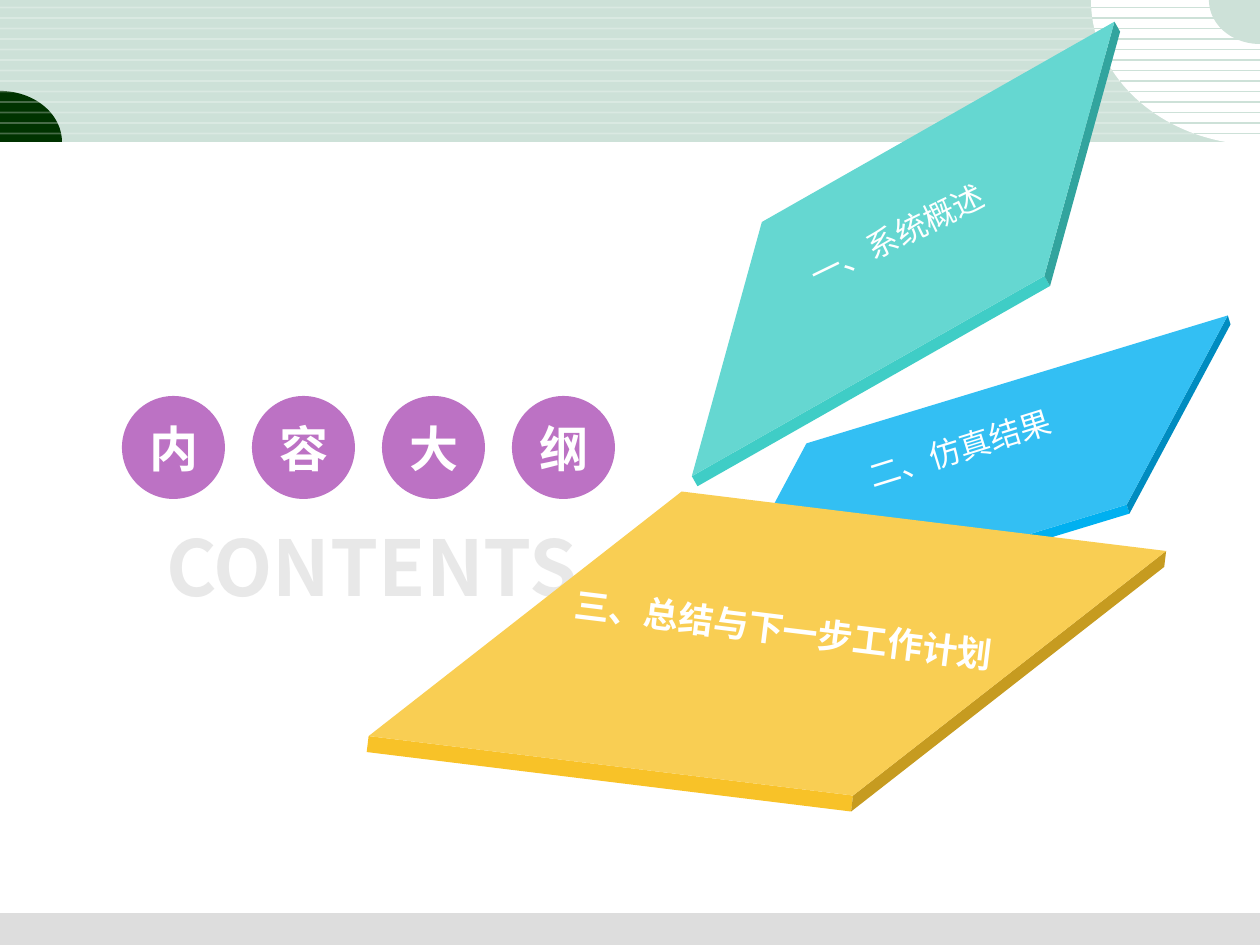
from math import cos, pi, sin, sqrt

from lxml import etree
from pptx import Presentation
from pptx.dml.color import RGBColor
from pptx.enum.shapes import MSO_CONNECTOR, MSO_SHAPE
from pptx.enum.text import MSO_ANCHOR, PP_ALIGN
from pptx.oxml.ns import qn
from pptx.util import Emu, Pt

RECT, OVAL, CUBE = MSO_SHAPE.RECTANGLE, MSO_SHAPE.OVAL, MSO_SHAPE.CUBE
STRAIGHT = MSO_CONNECTOR.STRAIGHT
MIDDLE, TOP = MSO_ANCHOR.MIDDLE, MSO_ANCHOR.TOP
CENTER = PP_ALIGN.CENTER

PX = 914400 / 126
W, H = 1260, 945
CJK = "Noto Sans CJK SC"
MINT, WHITE, DARK, GRAY = "CDE1D8", "FFFFFF", "003300", "DDDDDD"

HEADER_H = 142
STRIPE_TOP, STRIPE_GAP, STRIPES = 7.5, 10.5, 13
ARC_RX, ARC_RY = 169, 145

TITLE = "内容大纲"
CIRCLE = {"left": 122, "top": 396, "size": 103, "pitch": 130, "fill": "BC72C4"}
CIRCLE_FONT = {"size": Pt(28), "bold": True, "name": "Calibri"}
CONTENTS = ("CONTENTS", (120, 504, 504, 115), 0, "E8E8E8",
            {"size": Pt(44), "bold": True, "name": CJK})

LABEL_FONT = {"size": Pt(18), "bold": False, "name": CJK}
LAST_FONT = {"size": Pt(20), "bold": True, "name": CJK}
BACK_SLABS = [
    ((672, 398, 592, 161), 343.1, 0.942, "00B0F0"),
    ((610, 155, 592, 198), 330.4, 0.942, "3FCDC6"),
]
FRONT_SLAB = ((382, 503, 769, 297), 7, 0.946, "F8C228")
BACK_LABELS = [
    ("一、系统概述", (664, 210, 466, 51), 334.1, WHITE, LABEL_FONT),
    ("二、仿真结果", (727, 423, 466, 51), 342.7, WHITE, LABEL_FONT),
]
FRONT_LABEL = ("三、总结与下一步工作计划", (447, 602, 673, 55), 7, WHITE, LAST_FONT)


def emu(n):
    return Emu(round(n * PX))


def rgb(value):
    return RGBColor.from_string(value)


def paint(sp, fill):
    sp.shadow.inherit = False
    sp.fill.solid()
    sp.fill.fore_color.rgb = rgb(fill)
    sp.line.fill.background()
    return sp


def add_shape(s, kind, box, fill):
    return paint(s.shapes.add_shape(kind, *map(emu, box)), fill)


def add_quarter(s, cx, cy, rx, ry, fill, steps=40):
    angles = [pi / 2 * i / steps for i in range(steps + 1)]
    arc = [(emu(cx + rx * cos(a)), emu(cy + ry * sin(a))) for a in angles]
    builder = s.shapes.build_freeform(emu(cx), emu(cy))
    builder.add_line_segments(arc, close=True)
    paint(builder.convert_to_shape(), fill)


def add_stripe(s, x1, x2, y, color, width, alpha=None):
    line = s.shapes.add_connector(STRAIGHT, emu(x1), emu(y), emu(x2), emu(y))
    line.line.color.rgb = rgb(color)
    line.line.width = Pt(width)
    sp_pr = line._element.spPr
    etree.SubElement(sp_pr, qn("a:effectLst"))
    if alpha:
        clr = sp_pr.find(".//" + qn("a:srgbClr"))
        etree.SubElement(clr, qn("a:alpha"), val=str(alpha * 1000))


def write(sp, text, color, font, anchor=TOP, spacing=None):
    tf = sp.text_frame
    tf.word_wrap = True
    tf.vertical_anchor = anchor
    p = tf.paragraphs[0]
    p.alignment = CENTER
    p.line_spacing = spacing
    r = p.add_run()
    r.text = text
    for key, value in font.items():
        setattr(r.font, key, value)
    r.font.color.rgb = rgb(color)
    etree.SubElement(r.font._element, qn("a:ea"), typeface=CJK)


def add_label(s, text, box, rotation, color, font, spacing=None):
    sp = s.shapes.add_textbox(*map(emu, box))
    sp.rotation = rotation
    write(sp, text, color, font, spacing=spacing)


def add_slab(s, box, rotation, depth, fill):
    sp = add_shape(s, CUBE, box, fill)
    sp.rotation = rotation
    sp.adjustments[0] = depth


def add_backdrop(s):
    stripe_ys = [STRIPE_TOP + STRIPE_GAP * i for i in range(STRIPES)]
    add_shape(s, RECT, (0, 0, W, HEADER_H), MINT)
    add_quarter(s, 0, HEADER_H, 62, -51, DARK)
    for y in stripe_ys:
        add_stripe(s, 0, W, y, WHITE, 1, alpha=27)
    add_quarter(s, W, 0, -ARC_RX, ARC_RY, WHITE)
    for y in stripe_ys:
        add_stripe(s, W - ARC_RX * sqrt(1 - (y / ARC_RY) ** 2), W, y, MINT, 0.75)
    add_shape(s, RECT, (0, 913, W, H - 913), GRAY)
    add_quarter(s, W, 0, -51, 44, MINT)


def main():
    prs = Presentation()
    prs.slide_width, prs.slide_height = emu(W), emu(H)
    s = prs.slides.add_slide(prs.slide_layouts[6])
    add_backdrop(s)
    for slab in BACK_SLABS:
        add_slab(s, *slab)
    for i, char in enumerate(TITLE):
        left = CIRCLE["left"] + CIRCLE["pitch"] * i
        box = (left, CIRCLE["top"], CIRCLE["size"], CIRCLE["size"])
        write(add_shape(s, OVAL, box, CIRCLE["fill"]), char, WHITE, CIRCLE_FONT, MIDDLE)
    add_label(s, *CONTENTS, spacing=1.1)
    for label in BACK_LABELS:
        add_label(s, *label)
    add_slab(s, *FRONT_SLAB)
    add_label(s, *FRONT_LABEL)
    prs.save("out.pptx")


if __name__ == "__main__":
    main()
